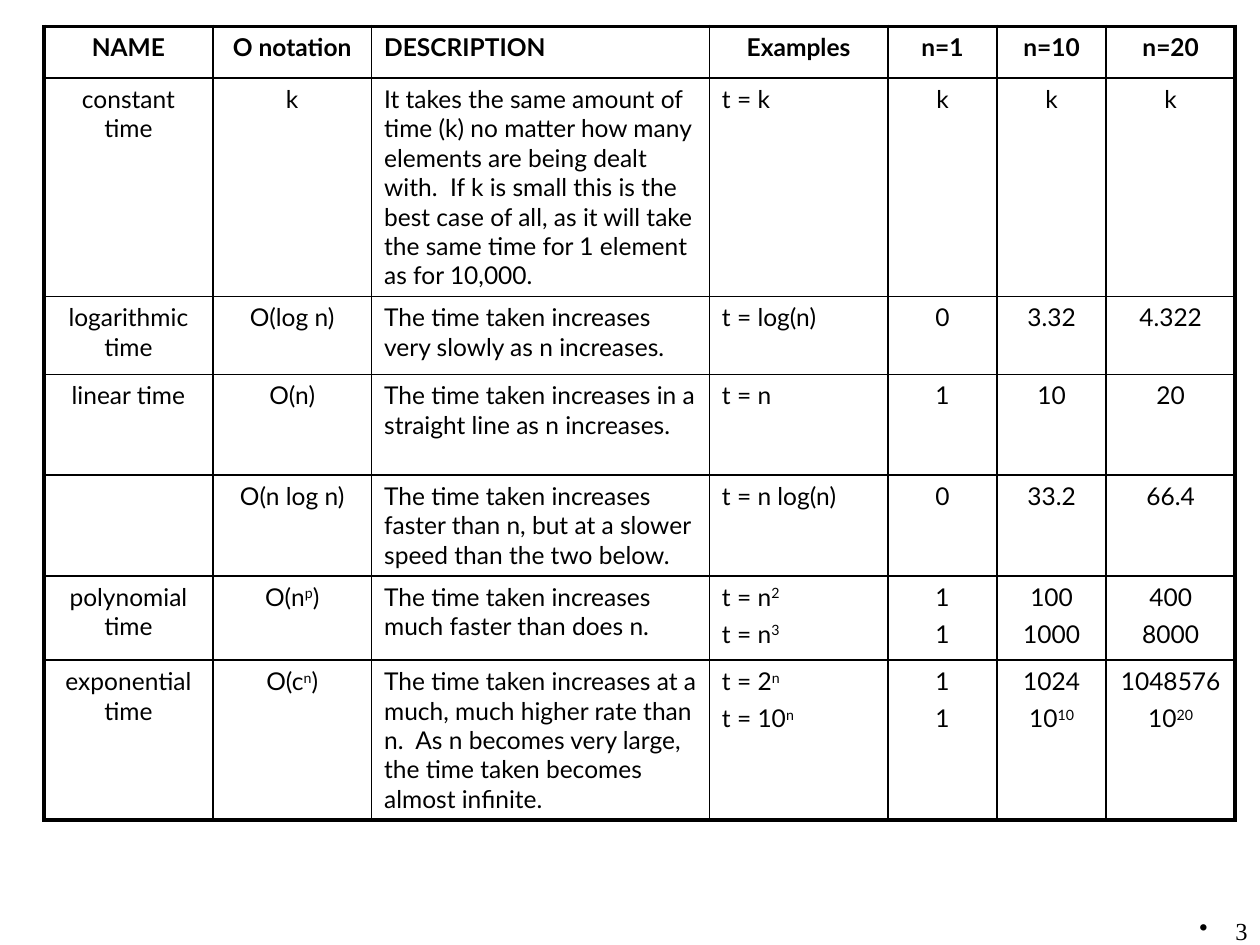
from lxml import etree
from pptx import Presentation
from pptx.dml.color import RGBColor
from pptx.enum.text import PP_ALIGN
from pptx.oxml.ns import qn
from pptx.util import Cm, Pt

LEFT, CENTER, RIGHT, JUSTIFY = PP_ALIGN.LEFT, PP_ALIGN.CENTER, PP_ALIGN.RIGHT, PP_ALIGN.JUSTIFY
BLACK = "000000"
TEXT_SIZE = 14
THIN, THICK = 1, 2.25

# A pair of carets encloses a superscript; a line break starts a new paragraph.
HEADER = ["NAME", "O notation", "DESCRIPTION", "Examples", "n=1", "n=10", "n=20"]
COMPLEXITIES = [
    ["constant time", "k",
     "It takes the same amount of time (k) no matter how many elements are being dealt with.  "
     "If k is small this is the best case of all, as it will take the same time for 1 element "
     "as for 10,000.",
     "t = k", "k", "k", "k"],
    ["logarithmic time", "O(log n)", "The time taken increases very slowly as n increases.",
     "t = log(n)", "0", "3.32", "4.322"],
    ["linear time", "O(n)", "The time taken increases in a straight line as n increases.",
     "t = n", "1", "10", "20"],
    ["", "O(n log n)",
     "The time taken increases faster than n, but at a slower speed than the two below.",
     "t = n log(n)", "0", "33.2", "66.4"],
    ["polynomial time", "O(n^p^)", "The time taken increases much faster than does n.",
     "t = n^2^\nt = n^3^", "1\n1", "100\n1000", "400\n8000"],
    ["exponential time", "O(c^n^)",
     "The time taken increases at a much, much higher rate than n.  As n becomes very large, "
     "the time taken becomes almost infinite.",
     "t = 2^n^\nt = 10^n^", "1\n1", "1024\n10^10^", "1048576\n10^20^"],
]
HEADER_ALIGNMENTS = [CENTER, CENTER, JUSTIFY, CENTER, CENTER, CENTER, CENTER]
BODY_ALIGNMENTS = [CENTER, CENTER, LEFT, LEFT, CENTER, CENTER, CENTER]
COLUMN_WIDTHS = [3.4, 3.2, 6.81, 3.6, 2.2, 2.2, 2.6]
ROW_HEIGHTS = [1.04, 4.4, 1.57, 2.03, 2.03, 1.7, 3.22]


def color(hex_string):
    return RGBColor.from_string(hex_string)


def set_spacing(paragraph, **percentages):
    """Set spcBef and spcAft as a share of the line height."""
    properties = paragraph._p.get_or_add_pPr()
    for tag, percentage in percentages.items():
        spacing = etree.SubElement(properties, qn(f"a:{tag}"))
        etree.SubElement(spacing, qn("a:spcPct"), val=str(percentage * 1000))


def add_run(paragraph, text, font_name, bold=False, superscript=False):
    run = paragraph.add_run()
    run.text = text
    run.font.name = font_name
    run.font.size = Pt(TEXT_SIZE)
    run.font.bold = bold
    run.font.color.rgb = color(BLACK)
    if superscript:
        run._r.get_or_add_rPr().set("baseline", "30000")


def fill_cell(cell, text, alignment, bold):
    frame = cell.text_frame
    for index, line in enumerate(text.split("\n")):
        paragraph = frame.paragraphs[0] if index == 0 else frame.add_paragraph()
        paragraph.alignment = alignment
        set_spacing(paragraph, spcBef=20, spcAft=10)
        for part_index, part in enumerate(line.split("^")):
            if part:
                add_run(paragraph, part, "Lato", bold, superscript=part_index % 2 == 1)


def set_borders(cell, widths):
    properties = cell._tc.get_or_add_tcPr()
    for side, width in widths.items():
        line = etree.SubElement(properties, qn(f"a:ln{side}"), w=str(Pt(width)))
        fill = etree.SubElement(line, qn("a:solidFill"))
        etree.SubElement(fill, qn("a:srgbClr"), val=BLACK)


def add_complexity_table(slide):
    rows = [HEADER] + COMPLEXITIES
    last_row, last_column = len(rows) - 1, len(HEADER) - 1
    table = slide.shapes.add_table(
        len(rows), len(HEADER), Cm(0.89), Cm(0.53),
        Cm(sum(COLUMN_WIDTHS)), Cm(sum(ROW_HEIGHTS))).table
    table.first_row = table.horz_banding = False
    for column, width in zip(table.columns, COLUMN_WIDTHS):
        column.width = Cm(width)
    for row, height in zip(table.rows, ROW_HEIGHTS):
        row.height = Cm(height)
    for r, texts in enumerate(rows):
        alignments = BODY_ALIGNMENTS if r else HEADER_ALIGNMENTS
        for c, (text, alignment) in enumerate(zip(texts, alignments)):
            cell = table.cell(r, c)
            fill_cell(cell, text, alignment, bold=r == 0)
            outer_sides = {"L": c == 0, "R": c == last_column, "T": r == 0, "B": r == last_row}
            set_borders(cell, {side: THICK if outer else THIN
                               for side, outer in outer_sides.items()})
            cell.fill.background()


def add_page_number(slide):
    box = slide.shapes.add_textbox(Cm(23.77), Cm(18.34), Cm(1.63), Cm(0.71))
    box.text_frame.word_wrap = True
    paragraph = box.text_frame.paragraphs[0]
    paragraph.alignment = RIGHT
    set_spacing(paragraph, spcBef=20)
    properties = paragraph._p.get_or_add_pPr()
    properties.set("marL", str(Cm(0.6)))
    properties.set("indent", str(Cm(-0.6)))
    etree.SubElement(properties, qn("a:buChar"), char="•")
    add_run(paragraph, " 3", "Times New Roman")


def main():
    presentation = Presentation()
    presentation.slide_width, presentation.slide_height = Cm(25.4), Cm(19.05)
    slide = presentation.slides.add_slide(presentation.slide_layouts[6])
    add_complexity_table(slide)
    add_page_number(slide)
    presentation.save("out.pptx")


if __name__ == "__main__":
    main()
